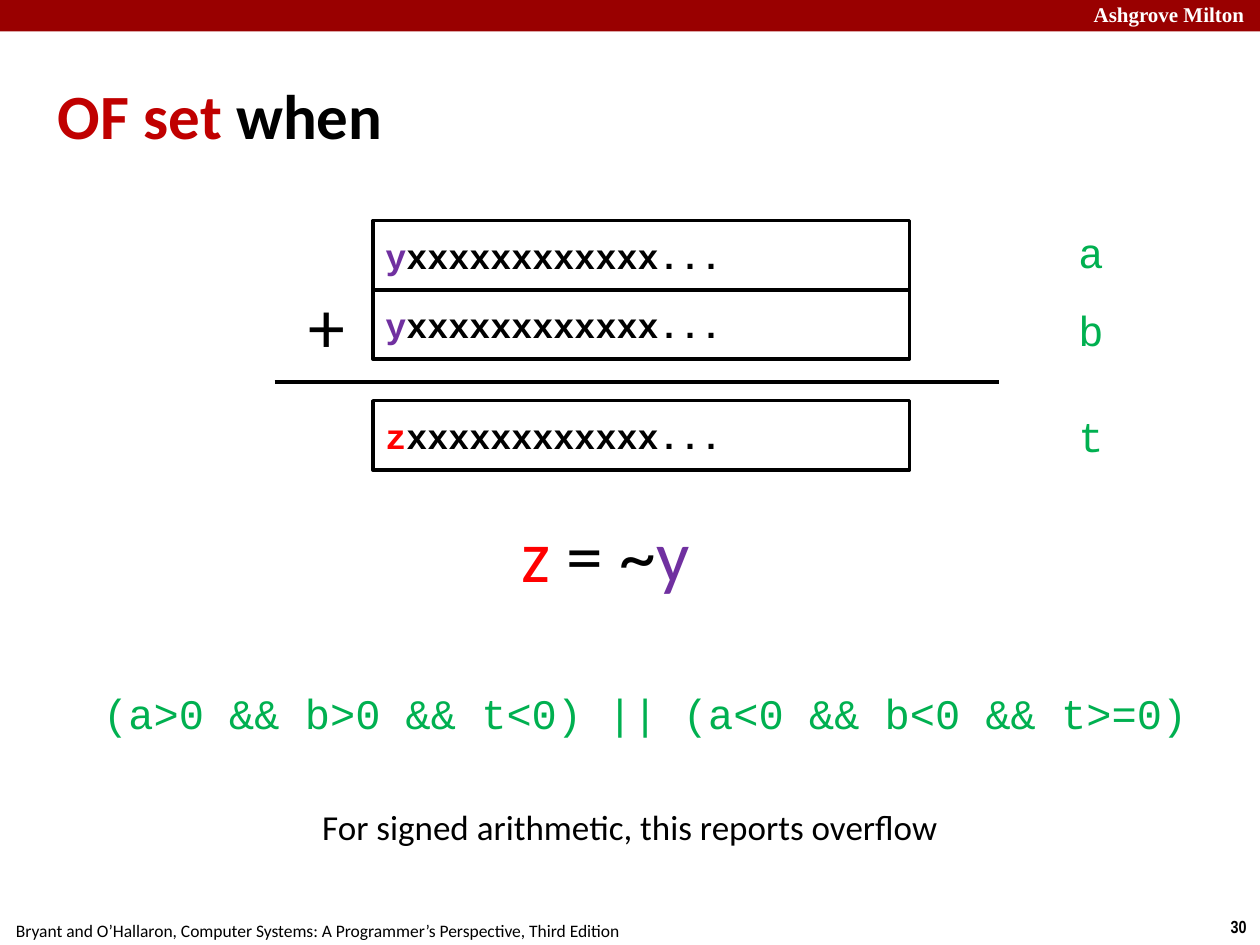
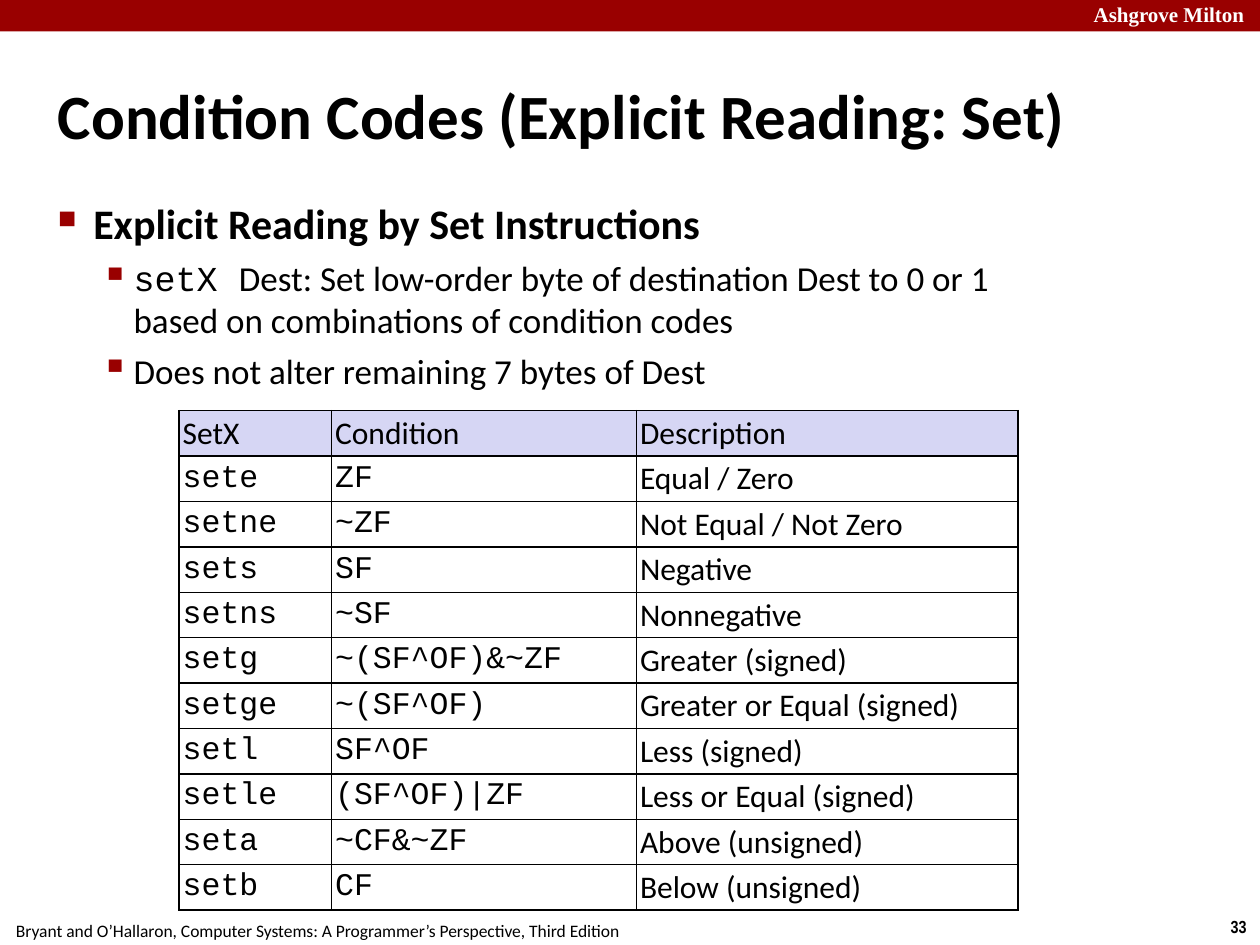
"""Build two slides about the overflow flag and the set instructions."""
from lxml.etree import SubElement
from pptx import Presentation
from pptx.dml.color import RGBColor as RGB
from pptx.enum.shapes import MSO_CONNECTOR as CONN, MSO_SHAPE as SHAPE
from pptx.enum.text import MSO_ANCHOR as ANCHOR, PP_ALIGN as ALIGN
from pptx.oxml.ns import qn
from pptx.util import Inches, Pt

BLACK = RGB(0x00, 0x00, 0x00)
WHITE = RGB(0xFF, 0xFF, 0xFF)
MAROON = RGB(0x99, 0x00, 0x00)
CRIMSON = RGB(0xC0, 0x00, 0x00)
RED = RGB(0xFF, 0x00, 0x00)
PURPLE = RGB(0x70, 0x30, 0xA0)
GREEN = RGB(0x00, 0xB0, 0x50)
LAVENDER = RGB(0xD6, 0xD6, 0xF4)
SANS, MONO, SERIF, NARROW = "Calibri", "Courier New", "Times New Roman", "Arial Narrow"

prs = Presentation()
prs.slide_width, prs.slide_height = Inches(10), Inches(7.5)
COL, ROW = prs.slide_width / 100, prs.slide_height / 75


def add_runs(p, runs, size, font=SANS, bold=False):
    """Add (text, colour) runs in one style to a paragraph."""
    for text, color in runs:
        r = p.add_run()
        r.text = text
        r.font.name, r.font.size, r.font.bold = font, Pt(size), bold
        r.font.color.rgb = color


def add_text(s, area, runs, size, font=SANS, bold=False, align=ALIGN.CENTER,
             anchor=ANCHOR.TOP, inset=None):
    """Add a text box whose area is given in grid columns and rows."""
    x, y, w, h = area
    tf = s.shapes.add_textbox(int(x * COL), int(y * ROW), int(w * COL), int(h * ROW)).text_frame
    tf.word_wrap = align != ALIGN.CENTER
    tf.vertical_anchor = anchor
    if inset:
        tf.margin_left = tf.margin_right = tf.margin_top = tf.margin_bottom = Inches(inset)
    tf.paragraphs[0].alignment = align
    add_runs(tf.paragraphs[0], runs, size, font, bold)
    return tf


slides = []
for number, title in (
    ("30", [("OF set ", CRIMSON), ("when", BLACK)]),
    ("33", [("Condition Codes (Explicit Reading: Set)", BLACK)]),
):
    s = prs.slides.add_slide(prs.slide_layouts[6])
    add_text(s, (96.6, 72.2, 3.4, 2.7), [(number, BLACK)], 10, NARROW, True)
    add_text(s, (-0.2, 72.5, 50.8, 2.7),
             [("Bryant and O’Hallaron, Computer Systems: A Programmer’s Perspective, Third Edition",
               BLACK)], 10)
    band = s.shapes.add_shape(SHAPE.RECTANGLE, 0, 0, prs.slide_width, int(2.5 * ROW))
    band.shadow.inherit = False
    band.fill.solid()
    band.fill.fore_color.rgb = MAROON
    band.line.fill.background()
    add_text(s, (86.4, -0.3, 14.4, 2.8), [("Ashgrove Milton", WHITE)], 12, SERIF, True,
             ALIGN.LEFT, inset=0.04)
    add_text(s, (4.2, 2.8, 91.7, 12.5), title, 36, SANS, True, ALIGN.LEFT, ANCHOR.MIDDLE, 0.04)
    slides.append(s)
overflow, conditions = slides

BOX_X, BOX_W, BOX_H = 29.6, 42.6, 5.5
for top, sign, color, name, name_top in (
    (17.5, "y", PURPLE, "a", 17.5),
    (23, "y", PURPLE, "b", 23.7),
    (31.8, "z", RED, "t", 32.1),
):
    sp = overflow.shapes.add_shape(SHAPE.RECTANGLE, int(BOX_X * COL), int(top * ROW),
                                   int(BOX_W * COL), int(BOX_H * ROW))
    sp.shadow.inherit = False
    sp.fill.background()
    sp.line.color.rgb, sp.line.width = BLACK, Pt(2)
    tf = sp.text_frame
    tf.vertical_anchor = ANCHOR.MIDDLE
    tf.paragraphs[0].alignment = ALIGN.LEFT
    add_runs(tf.paragraphs[0], [(sign, color), ("xxxxxxxxxxxx...", BLACK)], 20, MONO, True)
    add_text(overflow, (84.6, name_top, 4, 5), [(name, GREEN)], 24, MONO)

sum_line = overflow.shapes.add_connector(CONN.STRAIGHT, int(21.8 * COL), int(30.3 * ROW),
                                         int(79.3 * COL), int(30.3 * ROW))
sum_line.line.color.rgb, sum_line.line.width = BLACK, Pt(2)
SubElement(sum_line._element.spPr, qn("a:effectLst"))

add_text(overflow, (23.4, 21.7, 5, 8.1), [("+", BLACK)], 42)
add_text(overflow, (40.3, 39.9, 15.5, 8.1), [("z", RED), (" = ~", BLACK), ("y", PURPLE)], 42)
add_text(overflow, (6.2, 54.1, 90, 5),
         [("(a>0 && b>0 && t<0) || (a<0 && b<0 && t>=0)", GREEN)], 24, MONO)
add_text(overflow, (24.3, 63.4, 51.4, 4.4),
         [("For signed arithmetic, this reports overflow", BLACK)], 20)

tf = add_text(conditions, (4.2, 15.3, 89.8, 17), [("Explicit Reading by Set Instructions", BLACK)],
              24, SANS, True, ALIGN.LEFT, inset=0.04)
p = tf.add_paragraph()
add_runs(p, [("setX ", BLACK)], 20, MONO)
add_runs(p, [("Dest: Set low-order byte of destination Dest to 0 or 1", BLACK)], 20)
p.add_line_break()
add_runs(p, [("based on combinations of condition codes", BLACK)], 20)
p = tf.add_paragraph()
add_runs(p, [("Does not alter remaining 7 bytes of Dest", BLACK)], 20)

TOP_BULLET, SUB_BULLET = (0, 0.28, 0.28, 6, "■", 60), (1, 0.6, 0.26, 5, "▪", 110)
for p, bullet in zip(tf.paragraphs, (TOP_BULLET, SUB_BULLET, SUB_BULLET)):
    level, margin, hang, before, char, percent = bullet
    p.level, p.space_before = level, Pt(before)
    pPr = p._p.get_or_add_pPr()
    pPr.set("marL", str(Inches(margin)))
    pPr.set("indent", str(-Inches(hang)))
    SubElement(SubElement(pPr, qn("a:buClr")), qn("a:srgbClr"), val=str(MAROON))
    SubElement(pPr, qn("a:buSzPct"), val=str(percent * 1000))
    SubElement(pPr, qn("a:buChar"), char=char)

TABLE = (
    ("SetX", "Condition", "Description"),
    ("sete", "ZF", "Equal / Zero"),
    ("setne", "~ZF", "Not Equal / Not Zero"),
    ("sets", "SF", "Negative"),
    ("setns", "~SF", "Nonnegative"),
    ("setg", "~(SF^OF)&~ZF", "Greater (signed)"),
    ("setge", "~(SF^OF)", "Greater or Equal (signed)"),
    ("setl", "SF^OF", "Less (signed)"),
    ("setle", "(SF^OF)|ZF", "Less or Equal (signed)"),
    ("seta", "~CF&~ZF", "Above (unsigned)"),
    ("setb", "CF", "Below (unsigned)"),
)
WIDTHS, ROW_H = (12.1, 24.2, 30.3), 3.6
table = conditions.shapes.add_table(len(TABLE), len(WIDTHS), int(14.2 * COL), int(32.6 * ROW),
                                    int(sum(WIDTHS) * COL), int(len(TABLE) * ROW_H * ROW)).table
table.horz_banding = False
for column, width in zip(table.columns, WIDTHS):
    column.width = int(width * COL)
for i, entries in enumerate(TABLE):
    table.rows[i].height = int(ROW_H * ROW)
    for j, entry in enumerate(entries):
        cell = table.cell(i, j)
        cell.margin_left = cell.margin_right = Inches(0.03)
        cell.margin_top = cell.margin_bottom = Inches(0.03)
        cell.vertical_anchor = ANCHOR.MIDDLE
        for side in ("lnL", "lnR", "lnT", "lnB"):
            ln = SubElement(cell._tc.get_or_add_tcPr(), qn(f"a:{side}"), w=str(Pt(1)))
            SubElement(SubElement(ln, qn("a:solidFill")), qn("a:srgbClr"), val=str(BLACK))
        if i == 0:
            cell.fill.solid()
            cell.fill.fore_color.rgb = LAVENDER
        else:
            cell.fill.background()
        add_runs(cell.text_frame.paragraphs[0], [(entry, BLACK)], 18,
                 MONO if i > 0 and j < 2 else SANS)

prs.save("out.pptx")
